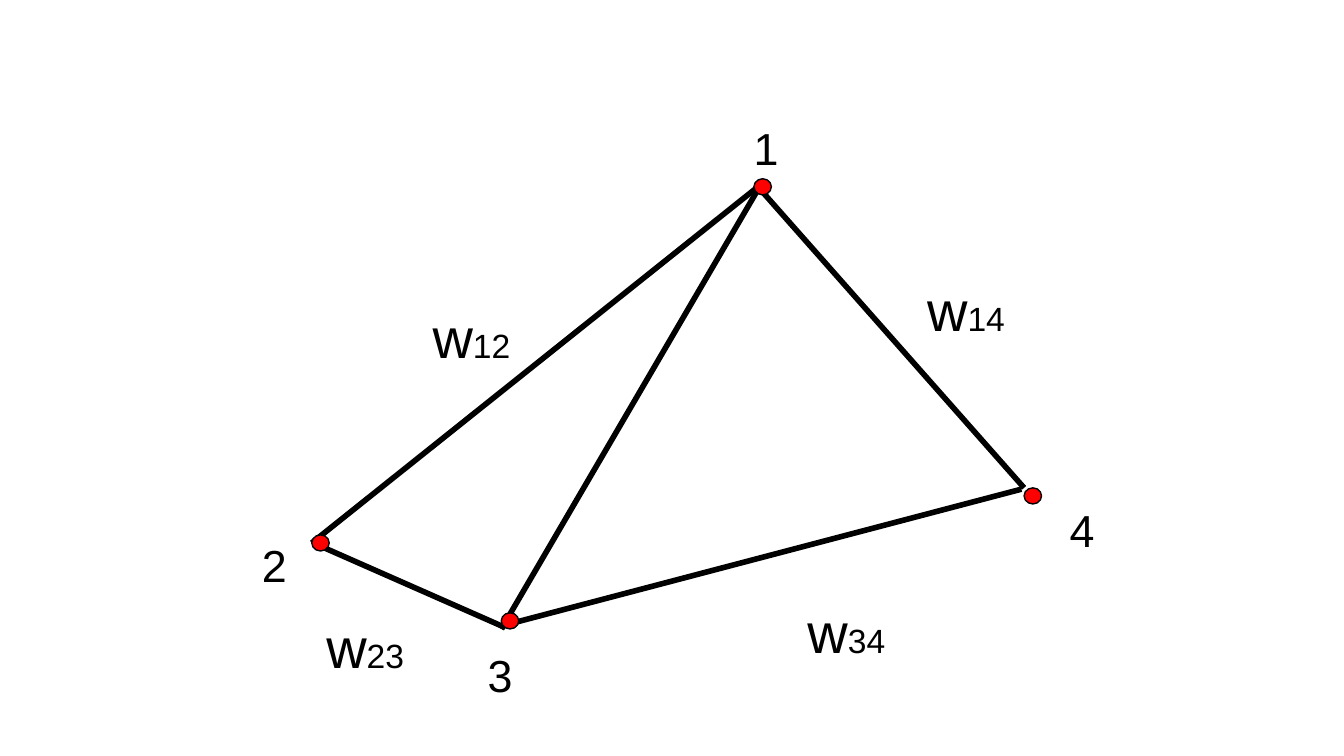
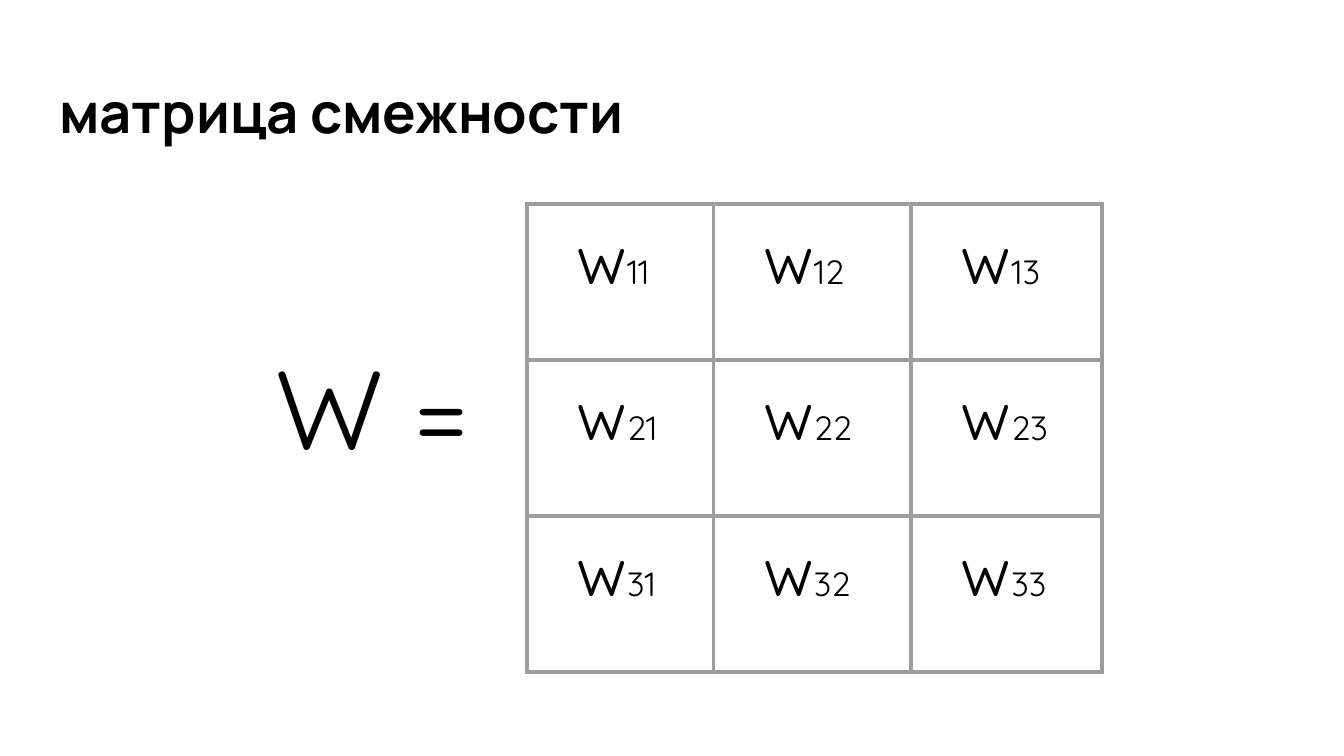
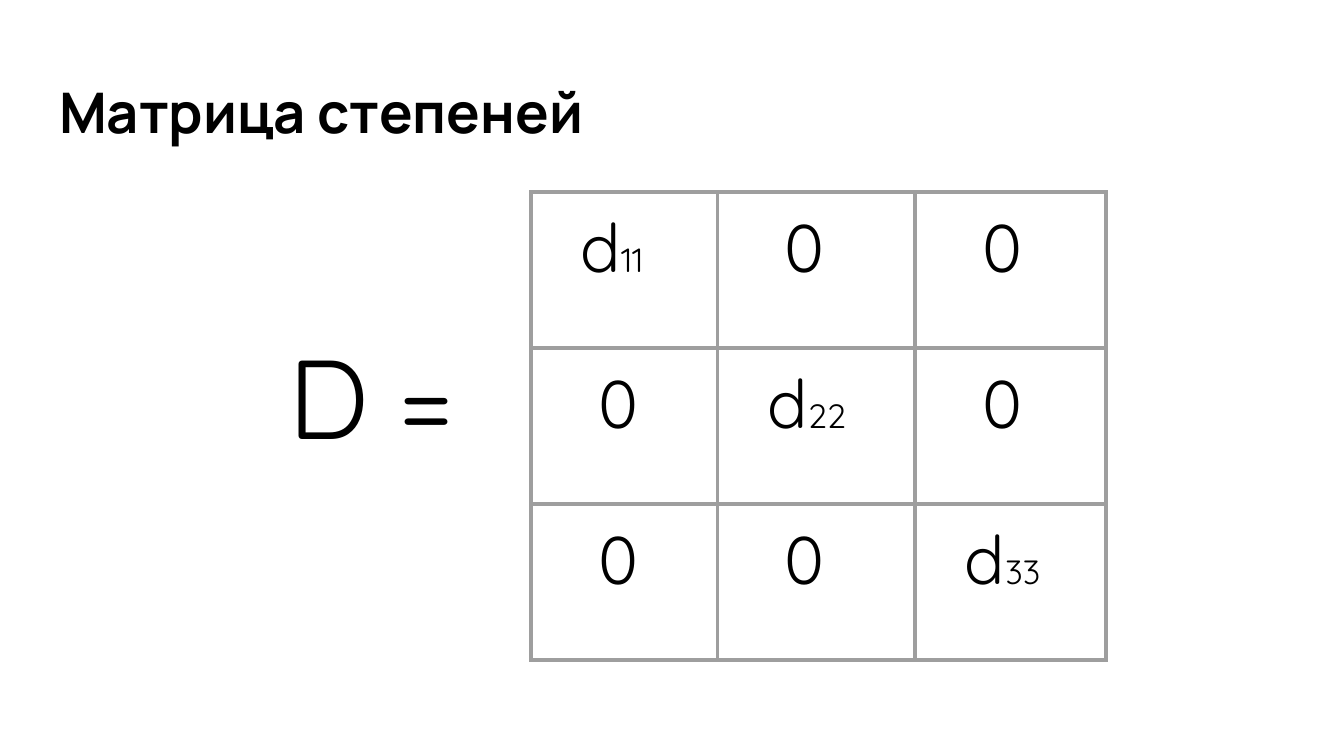
import pptx
import pptx.util
import pptx.dml.color
import pptx.enum.shapes
import pptx.enum.text
import pptx.oxml
import pptx.oxml.ns

BLACK = pptx.dml.color.RGBColor(0x00, 0x00, 0x00)
RED = pptx.dml.color.RGBColor(0xFF, 0x00, 0x00)
GRAY = pptx.dml.color.RGBColor(0x9E, 0x9E, 0x9E)

GRAPH_FONT = "Arial"
TITLE_FONT = "Manrope"
MATRIX_FONT = "Quicksand"

GRID = pptx.util.Inches(0.1)
SLIDE_COLUMNS, SLIDE_ROWS = 100, 56.25
INSET = 1
TITLE_BOX = (3.4, 4.9, 93.2, 6.8)
GRAPH_BOX = (18, 8, 64, 44)

NODE_SIZE = (1.3, 1.2)
NODES = {"1": (38.1, 5.3), "4": (58.2, 28.3), "2": (5.2, 31.8), "3": (19.3, 37.6)}
NODE_LABELS = {"1": (37.1, 0), "2": (0.5, 31), "3": (17.3, 39.2), "4": (60.6, 28.4)}
EDGES = [
    ((5.2, 32.4), (38.4, 5.9)),
    ((5.3, 32.4), (19.6, 38.7)),
    ((38.4, 6.1), (19.3, 38.8)),
    ((38.4, 5.9), (58.2, 28.3)),
    ((19.6, 38.5), (58, 28.4)),
]
WEIGHT_LABELS = {"12": (13.2, 13.5), "14": (50, 11.5), "34": (41.1, 35.5), "23": (5.3, 36.6)}

MATRIX_COLUMNS = (13.9, 14.7, 14.2)
MATRIX_ROWS = (11.6,) * 3
ENTRY_INDENT = 3.7
ZERO_INDENT = 5


def grid(*lengths):
    return [round(length * GRID) for length in lengths]


def within(box, point):
    return box[0] + point[0], box[1] + point[1]


def set_margins(target, left=INSET):
    target.margin_left = round(left * GRID)
    target.margin_top = target.margin_right = target.margin_bottom = round(INSET * GRID)


def write(paragraph, font_name, *parts, bold=False):
    for text, size in parts:
        run = paragraph.add_run()
        run.text = text
        run.font.name = font_name
        run.font.size = pptx.util.Pt(size)
        run.font.bold = bold
        run.font.color.rgb = BLACK


def add_label(slide, position, size, font_name, *parts):
    text_frame = slide.shapes.add_textbox(*grid(*position, *size)).text_frame
    text_frame.word_wrap = True
    set_margins(text_frame)
    write(text_frame.paragraphs[0], font_name, *parts)


def add_title(slide, text):
    title = slide.shapes.title
    title.left, title.top, title.width, title.height = grid(*TITLE_BOX)
    text_frame = title.text_frame
    text_frame.auto_size = pptx.enum.text.MSO_AUTO_SIZE.NONE
    text_frame.vertical_anchor = pptx.enum.text.MSO_ANCHOR.MIDDLE
    set_margins(text_frame)
    paragraph = text_frame.paragraphs[0]
    paragraph.alignment = pptx.enum.text.PP_ALIGN.LEFT
    write(paragraph, TITLE_FONT, (text, 30), bold=True)


def add_edge(slide, start, end):
    edge = slide.shapes.add_connector(
        pptx.enum.shapes.MSO_CONNECTOR.STRAIGHT, *grid(*start, *end))
    edge.line.color.rgb = BLACK
    edge.line.width = pptx.util.Pt(3)
    properties = edge._element.spPr
    properties.append(properties.makeelement(pptx.oxml.ns.qn("a:effectLst"), {}))


def add_node(slide, position):
    node = slide.shapes.add_shape(
        pptx.enum.shapes.MSO_SHAPE.OVAL, *grid(*position, *NODE_SIZE))
    node.shadow.inherit = False
    node.fill.solid()
    node.fill.fore_color.rgb = RED
    node.line.color.rgb = BLACK
    node.line.width = pptx.util.Pt(0.75)


def draw_graph(slide, box):
    for start, end in EDGES:
        add_edge(slide, within(box, start), within(box, end))
    for position in NODES.values():
        add_node(slide, within(box, position))
    for name, position in NODE_LABELS.items():
        add_label(slide, within(box, position), (3.3, 2.8), GRAPH_FONT, (name, 24))
    for index, position in WEIGHT_LABELS.items():
        add_label(slide, within(box, position), (8.3, 5.3), GRAPH_FONT, ("w", 30), (index, 18))


def set_borders(cell):
    properties = cell._tc.get_or_add_tcPr()
    for position, side in enumerate(("lnL", "lnR", "lnT", "lnB")):
        border = pptx.oxml.parse_xml(
            f'<a:{side} {pptx.oxml.ns.nsdecls("a")} w="{pptx.util.Pt(2.25)}">'
            f'<a:solidFill><a:srgbClr val="{GRAY}"/></a:solidFill></a:{side}>')
        properties.insert(position, border)


def draw_matrix(slide, box, entry):
    table = slide.shapes.add_table(
        len(MATRIX_ROWS), len(MATRIX_COLUMNS), *grid(*box)).table
    table.first_row = table.horz_banding = False
    for column, width in zip(table.columns, grid(*MATRIX_COLUMNS)):
        column.width = width
    for row, height in zip(table.rows, grid(*MATRIX_ROWS)):
        row.height = height
    for row_number, row in enumerate(table.rows, 1):
        for column_number, cell in enumerate(row.cells, 1):
            indent, parts = entry(row_number, column_number)
            set_margins(cell, indent)
            cell.fill.background()
            set_borders(cell)
            write(cell.text_frame.paragraphs[0], MATRIX_FONT, *parts)


def weight_entry(row, column):
    return ENTRY_INDENT, (("w", 36), (f"{row}{column}", 18))


def degree_entry(row, column):
    if row == column:
        return ENTRY_INDENT, (("d", 36), (f"{row}{column}", 18))
    return ZERO_INDENT, (("0", 36),)


def build_graph_slide(presentation):
    slide = presentation.slides.add_slide(presentation.slide_layouts[6])
    draw_graph(slide, GRAPH_BOX)


def build_matrix_slide(presentation, title, symbol, corner, symbol_offset, entry):
    slide = presentation.slides.add_slide(presentation.slide_layouts[5])
    add_title(slide, title)
    draw_matrix(slide, (*corner, sum(MATRIX_COLUMNS), sum(MATRIX_ROWS)), entry)
    add_label(slide, within(corner, symbol_offset), (21.5, 16.7), MATRIX_FONT, (f"{symbol} =", 60))


def main():
    presentation = pptx.Presentation()
    presentation.slide_width, presentation.slide_height = grid(SLIDE_COLUMNS, SLIDE_ROWS)
    build_graph_slide(presentation)
    build_matrix_slide(
        presentation, "матрица смежности", "W", (39.2, 15.2), (-19.7, 9), weight_entry)
    build_matrix_slide(
        presentation, "Матрица степеней", "D", (39.5, 14.3), (-19, 9.1), degree_entry)
    presentation.save("out.pptx")


if __name__ == "__main__":
    main()
